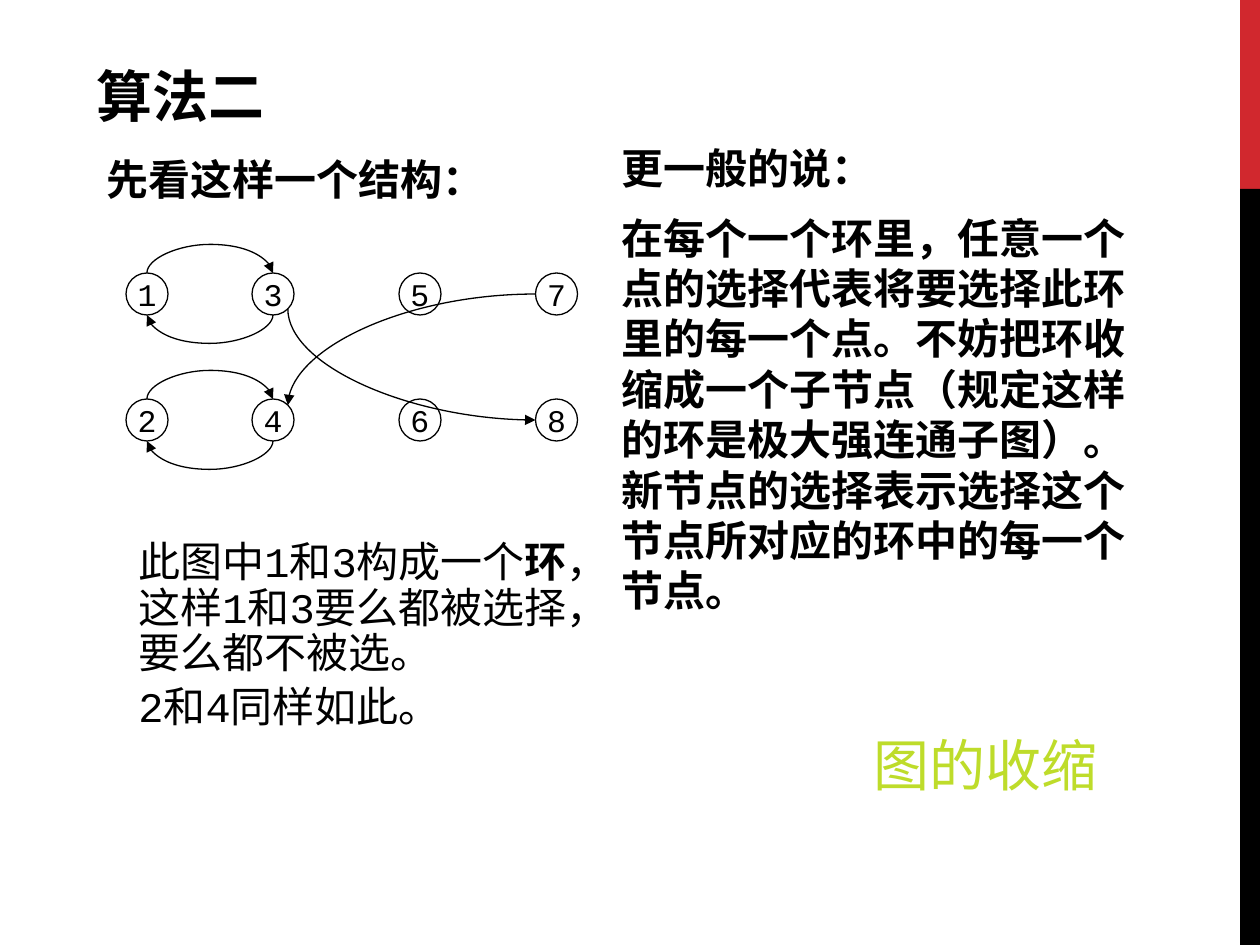
from dataclasses import dataclass
from math import cos, radians, sin

from lxml import etree
from pptx import Presentation
from pptx.dml.color import RGBColor
from pptx.enum.shapes import MSO_CONNECTOR, MSO_SHAPE
from pptx.enum.text import MSO_ANCHOR, PP_ALIGN
from pptx.oxml.ns import qn
from pptx.util import Emu, Inches, Pt


@dataclass(frozen=True)
class Theme:
    ink: RGBColor = RGBColor(0x00, 0x00, 0x00)
    red: RGBColor = RGBColor(0xD1, 0x28, 0x2E)
    lime: RGBColor = RGBColor(0xBE, 0xDC, 0x2A)
    title_font: str = "Noto Sans CJK SC"
    font: str = "Courier New"
    large: int = 32
    body: int = 24
    label: int = 18
    line: float = 0.75


T = Theme()
COLS, ROWS = 120, 90          # slide grid: twelve units to the inch
UNIT = Inches(10) // COLS
NODE = 4                      # node diameter in units
FLAT = 1588                   # thickness of a loop before it bulges
BULGE = 3                     # loop height in units
SITE_ANGLE = {0: 270, 2: 180, 4: 90, 5: 45, 7: 315}   # ellipse connection sites


def grid(*units):
    return [Emu(round(u * UNIT)) for u in units]


def style(r, size, color=T.ink, font=T.font, bold=False):
    r.font.name, r.font.size, r.font.bold = font, Pt(size), bold
    r.font.color.rgb = color


def bar(s, box, color):
    sp = s.shapes.add_shape(MSO_SHAPE.RECTANGLE, *grid(*box))
    sp.shadow.inherit = False
    sp.fill.solid()
    sp.fill.fore_color.rgb = color
    sp.line.fill.background()


def title(s, box, text):
    sp = s.shapes.title
    sp.left, sp.top, sp.width, sp.height = grid(*box)
    tf = sp.text_frame
    tf.text = text
    tf.vertical_anchor = MSO_ANCHOR.TOP
    p = tf.paragraphs[0]
    p.alignment = PP_ALIGN.LEFT
    style(p.runs[0], T.large, font=T.title_font, bold=True)


def text_block(s, box, paragraphs, size=T.body, color=T.ink, bold=False,
               before=0.2, after=0, spacing=1.0, strong=None):
    """Write paragraphs; the run equal to strong is set in bold."""
    tf = s.shapes.add_textbox(*grid(*box)).text_frame
    tf.word_wrap = True
    for i, runs in enumerate(paragraphs):
        p = tf.paragraphs[0] if i == 0 else tf.add_paragraph()
        p.space_before, p.space_after = Pt(size * before), Pt(after)
        p.line_spacing = spacing
        for text in runs:
            r = p.add_run()
            r.text = text
            style(r, size, color, bold=bold or text == strong)


def node(s, x, y, label):
    sp = s.shapes.add_shape(MSO_SHAPE.OVAL, *grid(x, y, NODE, NODE))
    sp.shadow.inherit = False
    sp.fill.background()
    sp.line.color.rgb, sp.line.width = T.ink, Pt(T.line)
    tf = sp.text_frame
    tf.text = label
    tf.word_wrap = False
    tf.vertical_anchor = MSO_ANCHOR.MIDDLE
    tf.paragraphs[0].alignment = PP_ALIGN.CENTER
    style(tf.paragraphs[0].runs[0], T.label)
    return sp


def site_point(sp, site):
    a = radians(SITE_ANGLE[site])
    return (sp.left + sp.width / 2 * (1 + cos(a)),
            sp.top + sp.height / 2 * (1 + sin(a)))


def curve(s, start, end, rot, flip=None, loop=0):
    """Join two (node, site) pairs; loop is -1 or 1 for a bulging arc."""
    (x1, y1), (x2, y2) = site_point(*start), site_point(*end)
    w, h = abs(x2 - x1), abs(y2 - y1) or FLAT
    if rot in (90, 270):
        w, h = h, w
    left, top = (x1 + x2 - w) / 2, (y1 + y2 - h) / 2
    c = s.shapes.add_connector(MSO_CONNECTOR.CURVE, *map(
        lambda v: Emu(round(v)), (left, top, left + w, top + h)))
    c.line.color.rgb, c.line.width = T.ink, Pt(T.line)
    etree.SubElement(c.line._get_or_add_ln(), qn("a:tailEnd"), type="triangle")
    pr = c._element.spPr
    etree.SubElement(pr, qn("a:effectLst"))
    # Turn the curve and set its bend
    xfrm = pr.find(qn("a:xfrm"))
    xfrm.set("rot", str(rot * 60000))
    if flip:
        xfrm.set(flip, "1")
    geom = pr.find(qn("a:prstGeom"))
    if loop:
        av = geom.find(qn("a:avLst"))
        if av is None:
            av = etree.SubElement(geom, qn("a:avLst"))
        bend = round(loop * BULGE * UNIT / FLAT * 100000)
        etree.SubElement(av, qn("a:gd"), name="adj1", fmla=f"val {bend}")
    else:
        geom.set("prst", "curvedConnector2")
    # Glue both ends to their nodes
    links = c._element.find(".//" + qn("p:cNvCxnSpPr"))
    for tag, (sp, site) in (("a:stCxn", start), ("a:endCxn", end)):
        etree.SubElement(links, qn(tag), id=str(sp.shape_id), idx=str(site))


def graph(s, x, y):
    """Two rows of nodes: odd numbers above, even numbers below."""
    n = {}
    for col, dx in enumerate((0, 12, 26, 39)):
        for row in range(2):
            k = 2 * col + row + 1
            n[k] = node(s, x + dx, y + 12 * row, str(k))
    for a, b in ((1, 3), (2, 4)):
        curve(s, (n[a], 0), (n[b], 0), 90, "flipV", loop=-1)
        curve(s, (n[b], 4), (n[a], 4), 90, loop=1)
    curve(s, (n[7], 2), (n[4], 7), 180, "flipV")
    curve(s, (n[3], 5), (n[8], 2), 270, "flipH")


def main():
    prs = Presentation()
    prs.slide_width, prs.slide_height = grid(COLS, ROWS)
    s = prs.slides.add_slide(prs.slide_layouts[5])

    # Side bars
    bar(s, (118.1, 0, 1.9, 18), T.red)
    bar(s, (118.1, 18, 1.9, 72), T.ink)

    # Title and the two columns of text
    title(s, (8, 5.3, 58.5, 7.7), "算法二")
    text_block(s, (9, 14, 48, 8), [["先看这样一个结构："]], bold=True, after=6)
    text_block(s, (58, 13, 51, 51), [
        ["更一般的说："],
        ["在每个一个环里，任意一个点的选择代表将要选择此环里的每一个点。"
         "不妨把环收缩成一个子节点（规定这样的环是极大强连通子图）。"
         "新节点的选择表示选择这个节点所对应的环中的每一个节点。"],
    ], bold=True, after=6)
    text_block(s, (12, 51, 45, 24.7), [
        ["此图中1和3构成一个", "环", "，这样1和3要么都被选择，要么都不被选。"],
        ["2和4同样如此。"],
    ], spacing=0.9, strong="环")
    text_block(s, (82, 69, 24, 7.5), [["图的收缩"]], T.large, T.lime, before=0.5)

    # Graph
    graph(s, 12, 26)
    prs.save("out.pptx")


if __name__ == "__main__":
    main()
